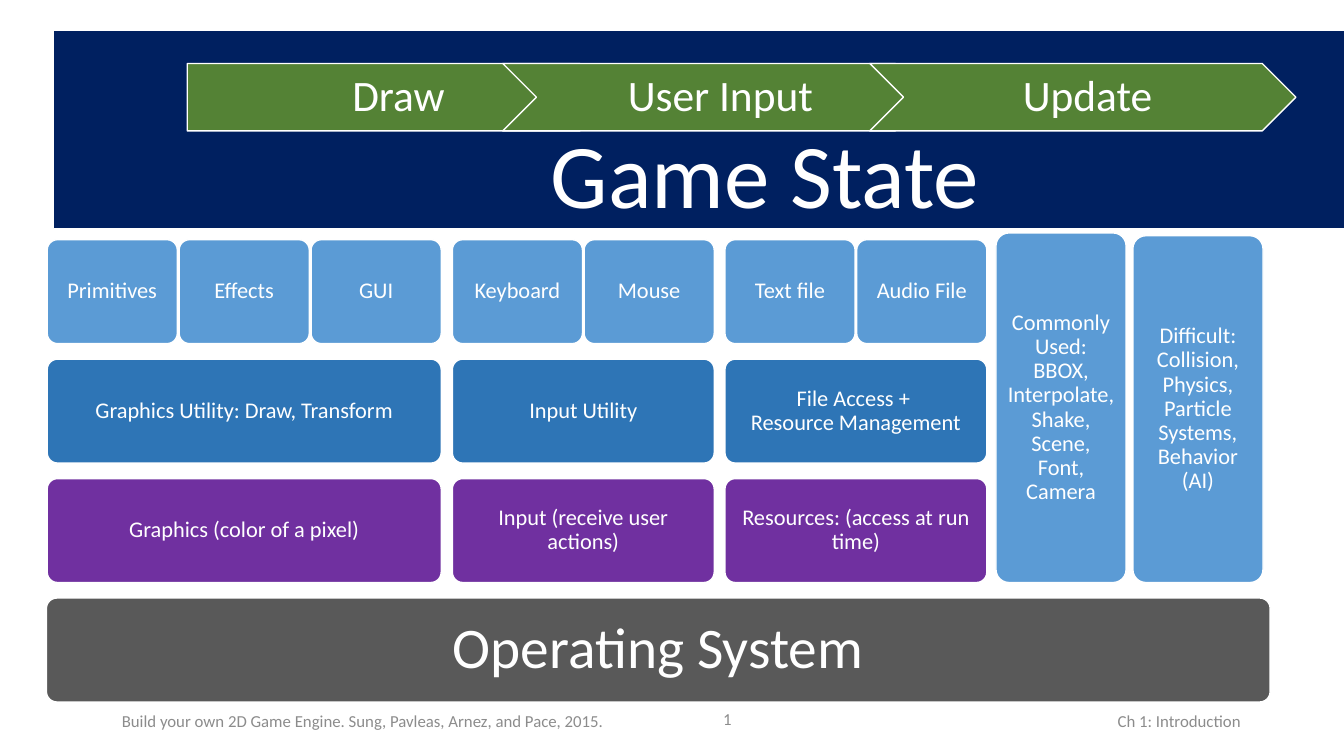
"""Build the game engine architecture slide."""
from pptx import Presentation
from pptx.dml.color import RGBColor
from pptx.enum.shapes import MSO_SHAPE
from pptx.enum.text import MSO_ANCHOR, PP_ALIGN
from pptx.util import Cm, Pt

ROUND, RECT = MSO_SHAPE.ROUNDED_RECTANGLE, MSO_SHAPE.RECTANGLE
PENTAGON, CHEVRON = MSO_SHAPE.PENTAGON, MSO_SHAPE.CHEVRON
MIDDLE, BOTTOM = MSO_ANCHOR.MIDDLE, MSO_ANCHOR.BOTTOM
LEFT, CENTER, RIGHT = PP_ALIGN.LEFT, PP_ALIGN.CENTER, PP_ALIGN.RIGHT

COLORS = {"white": "FFFFFF", "footer": "8C8C8C", "system": "595959", "core": "7030A0",
          "utility": "2E75B6", "feature": "5B9BD5", "state": "002060", "loop": "548235"}
FONT = "Calibri"

FOOTERS = [
    ("Ch 1: Introduction", (19.3, 17.65, 12.22, 1.02), RIGHT),
    ("Build your own 2D Game Engine. Sung, Pavleas, Arnez, and Pace, 2015.",
     (2.82, 17.65, 12.83, 1.02), LEFT),
    ("1", (15.67, 17.6, 3.02, 1.02), RIGHT),
]
STACKS = [
    (1.19, 9.93, ["Primitives", "Effects", "GUI"],
     "Graphics Utility: Draw, Transform", "Graphics (color of a pixel)"),
    (11.4, 6.6, ["Keyboard", "Mouse"], "Input Utility", "Input (receive user actions)"),
    (18.27, 6.6, ["Text file", "Audio File"],
     "File Access + \nResource Management", "Resources: (access at run time)"),
]
TOWERS = [
    ("Commonly Used: BBOX, Interpolate, Shake, Scene, Font, Camera", 25.1, 5.87),
    ("Difficult: Collision, Physics, Particle Systems, Behavior (AI)", 28.55, 5.94),
]
LOOP = [("Draw", 4.72, PENTAGON, 0.46), ("User Input", 12.67, CHEVRON, 0.36),
        ("Update", 21.92, CHEVRON, 0.36)]

ROW_TOP, ROW_PITCH, BLOCK_H, CELL_W = 6.04, 3.01, 2.62, 3.28
FEATURE_Y, UTILITY_Y, CORE_Y, SYSTEM_Y = [ROW_TOP + i * ROW_PITCH for i in range(4)]


def write(sp, text, size=16, color="white", align=CENTER, anchor=MIDDLE,
          insets=(0.18, 0.18, 0.18, 0.18), spacing=0.9):
    """Fill a shape with one formatted paragraph."""
    tf = sp.text_frame
    tf.word_wrap = True
    tf.vertical_anchor = anchor
    tf.margin_left, tf.margin_top, tf.margin_right, tf.margin_bottom = map(Cm, insets)
    p = tf.paragraphs[0]
    p.text = text
    p.alignment = align
    p.line_spacing = spacing
    for r in p.runs:
        r.font.name = FONT
        r.font.size = Pt(size)
        r.font.color.rgb = RGBColor.from_string(COLORS[color])


def block(shapes, text, box, fill, kind=ROUND, **fmt):
    """Add a filled, white-edged shape with its label."""
    sp = shapes.add_shape(kind, *map(Cm, box))
    sp.shadow.inherit = False
    sp.fill.solid()
    sp.fill.fore_color.rgb = RGBColor.from_string(COLORS[fill])
    sp.line.color.rgb = RGBColor.from_string(COLORS["white"])
    sp.line.width = Pt(1)
    if kind == ROUND:
        sp.adjustments[0] = 0.1
    write(sp, text, **fmt)


def main():
    """Lay out the slide and save it."""
    prs = Presentation()
    prs.slide_width, prs.slide_height = Cm(33.87), Cm(19.05)
    s = prs.slides.add_slide(prs.slide_layouts[6]).shapes

    for text, box, align in FOOTERS:
        write(s.add_textbox(*map(Cm, box)), text, size=12, color="footer", align=align,
              insets=(0.25, 0.13, 0.25, 0.13), spacing=1.0)

    block(s, "Operating System", (1.17, SYSTEM_Y, 30.84, BLOCK_H), "system", size=41,
          insets=(0.43, 0.43, 0.43, 0.43))
    for left, width, features, utility, core in STACKS:
        block(s, core, (left, CORE_Y, width, BLOCK_H), "core")
        block(s, utility, (left, UTILITY_Y, width, BLOCK_H), "utility")
        pitch = (width - CELL_W) / (len(features) - 1)
        for i, feature in enumerate(features):
            block(s, feature, (left + i * pitch, FEATURE_Y, CELL_W, BLOCK_H), "feature")
    for text, left, top in TOWERS:
        block(s, text, (left, top, CELL_W, CORE_Y + BLOCK_H - top), "feature")

    block(s, "Game State", (1.35, 0.76, 35.43, 5), "state", kind=RECT, size=65,
          anchor=BOTTOM, insets=(0.69, 0.69, 0.25, 0))
    for text, left, kind, inset in LOOP:
        block(s, text, (left, 1.6, 10.74, 1.7), "loop", kind=kind, size=31,
              insets=(inset, 0.23, 0.13, 0.23))

    prs.save("out.pptx")


if __name__ == "__main__":
    main()
